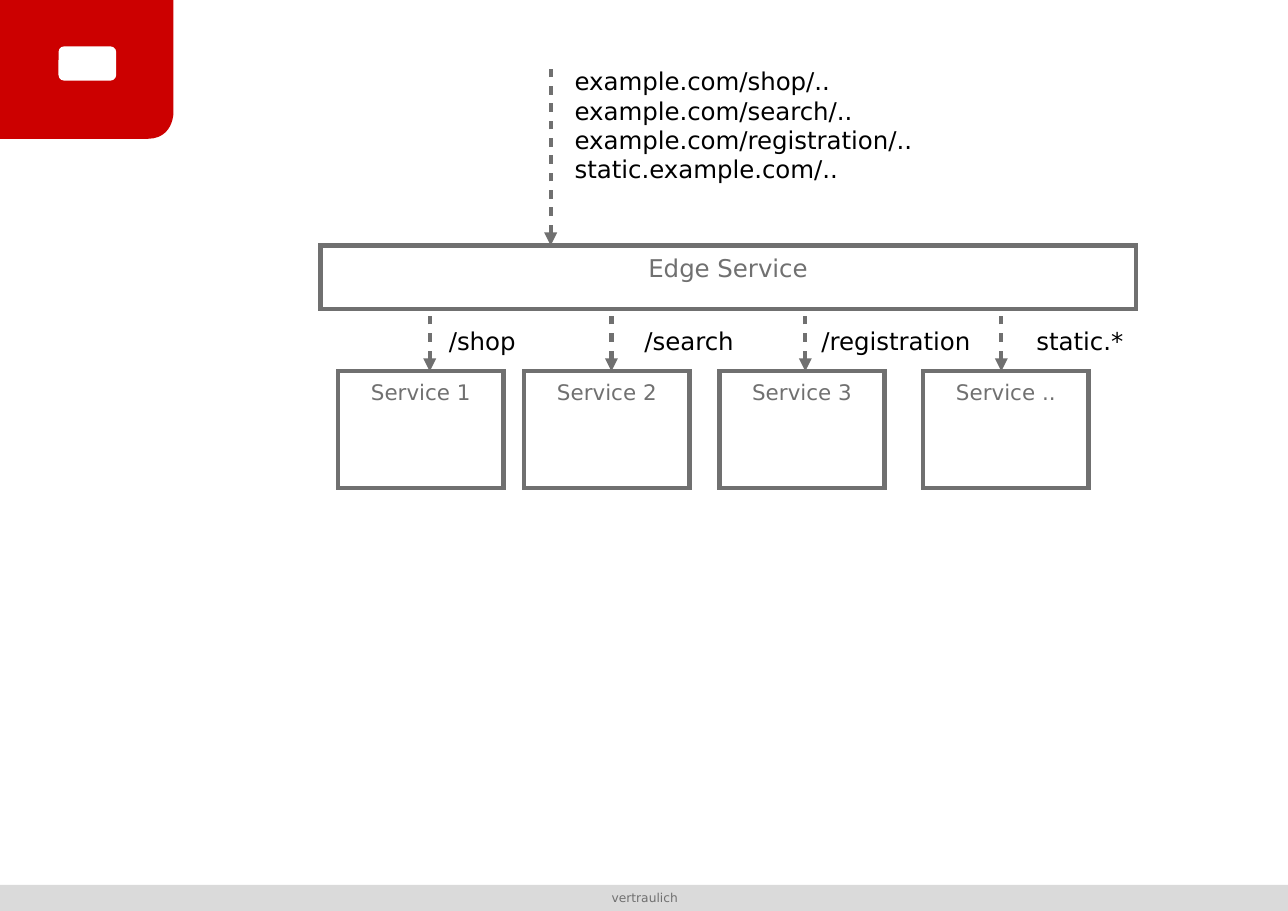
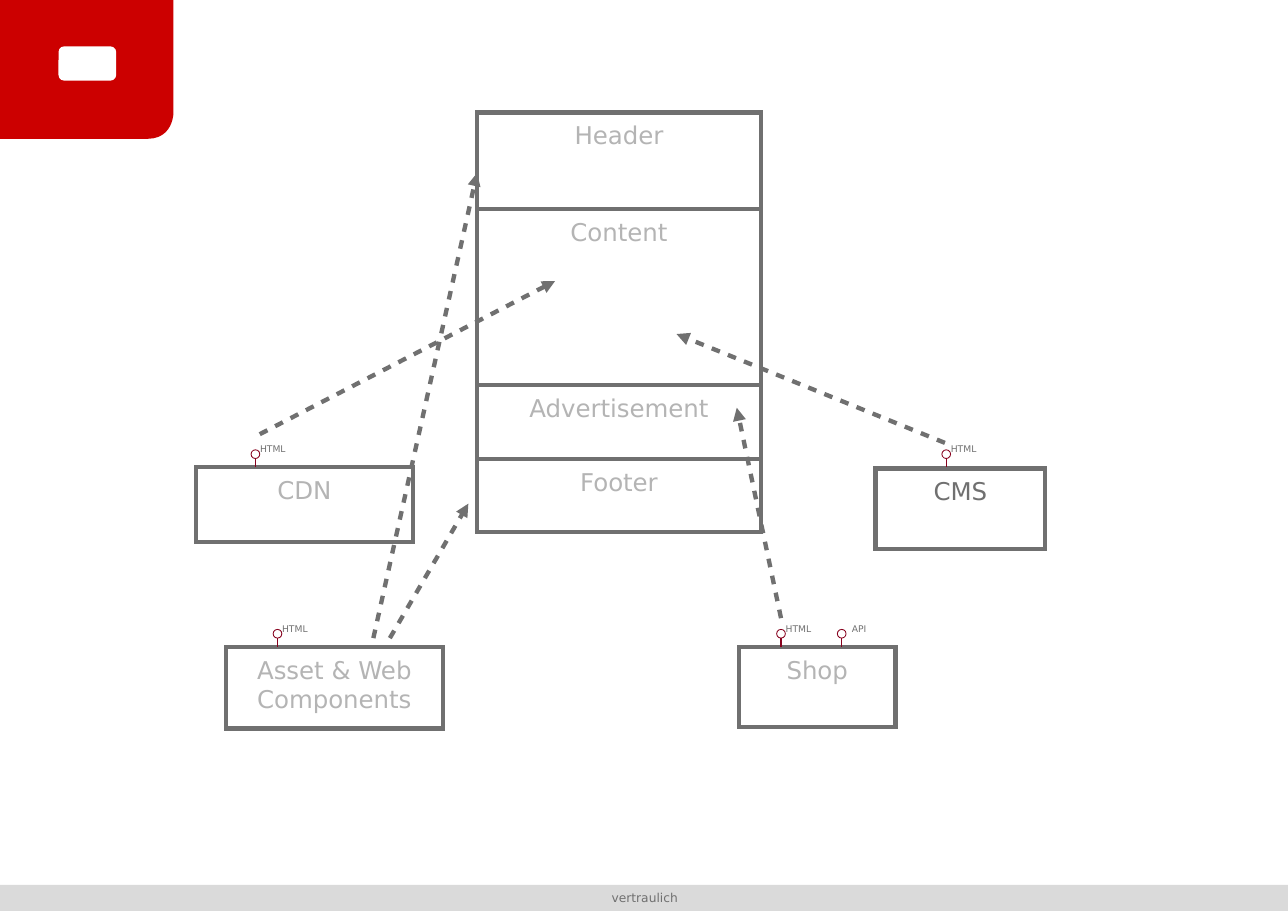
"""Build two architecture slides on a 297 by 210 grid."""
from dataclasses import dataclass
from itertools import accumulate
from typing import Any, NamedTuple

from lxml.etree import SubElement
from pptx import Presentation
from pptx.dml.color import RGBColor
from pptx.enum.shapes import MSO_CONNECTOR as Connector, MSO_SHAPE as Preset
from pptx.enum.text import MSO_ANCHOR as Anchor, PP_ALIGN as Align
from pptx.oxml.ns import qn
from pptx.util import Inches, Pt

SLIDE_WIDTH, SLIDE_HEIGHT = Inches(11.69), Inches(8.27)
COLUMNS, ROWS = 297, 210


@dataclass(frozen=True)
class Theme:
    """Colours, type sizes and line widths of the deck."""
    font: str = "DejaVu Sans"
    gray: str = "707070"
    pale: str = "B4B4B4"
    band: str = "DADADA"
    red: str = "CC0000"
    wine: str = "87021E"
    black: str = "000000"
    white: str = "FFFFFF"
    large: int = 16
    medium: int = 14
    footer: int = 8
    tiny: int = 6
    outline: float = 2.83
    stem: float = 0.85
    ring: float = 0.57


THEME = Theme()


class Area(NamedTuple):
    """Left, top, width and height in grid units."""
    left: float
    top: float
    width: float
    height: float


class Point(NamedTuple):
    """A position in grid units."""
    x: float
    y: float


@dataclass(frozen=True)
class Box:
    """An outlined rectangle with a caption at its top."""
    area: Area
    text: str
    color: str = THEME.pale
    size: int = THEME.large


@dataclass(frozen=True)
class Label:
    """A free-standing text."""
    area: Area
    text: str
    color: str = THEME.black
    size: int = THEME.large
    align: Align = Align.CENTER
    inset: Point = Point(2.5, 1.3)


@dataclass(frozen=True)
class Arrow:
    """A dashed line with a triangle at one end."""
    start: Point
    end: Point
    marker: str = "tailEnd"


@dataclass(frozen=True)
class Pin:
    """A ringed interface pin standing on a box."""
    foot: Point
    text: str = "HTML"


class Service(NamedTuple):
    """A service box with its arrow and route."""
    name: str
    left: float
    arrow_x: float
    route: str
    route_center: float


EDGE = Area(73.9, 56.6, 188, 14.7)
EDGE_BOTTOM = EDGE.top + EDGE.height
SERVICE_TOP, SERVICE_WIDTH, SERVICE_HEIGHT = 85.6, 38.1, 26.9
ROUTE_TOP, ROUTE_WIDTH, ROUTE_HEIGHT = 73.9, 44, 10
SERVICES = (
    Service("Service 1", 78, 99.1, "/shop", 111.2),
    Service("Service 2", 120.9, 141, "/search", 158.9),
    Service("Service 3", 165.9, 185.7, "/registration", 206.6),
    Service("Service ..", 212.9, 230.9, "static.*", 249),
)
ADDRESSES = "\n".join((
    "example.com/shop/..",
    "example.com/search/..",
    "example.com/registration/..",
    "static.example.com/..",
))

PAGE_LEFT, PAGE_TOP, PAGE_WIDTH = 110, 25.9, 65.5
PAGE_PARTS = {"Header": 22.3, "Content": 40.6, "Advertisement": 17, "Footer": 16.8}
UPPER_ROW, LOWER_ROW = 107.7, 149.1
SYSTEMS = (
    Box(Area(45.2, UPPER_ROW, 50, 17.3), "CDN"),
    Box(Area(201.9, 108, 39.1, 18.5), "CMS", THEME.gray),
    Box(Area(170.4, LOWER_ROW, 36.1, 18.5), "Shop"),
    Box(Area(52.1, LOWER_ROW, 50, 18.8), "Asset & Web\nComponents"),
)
PINS = (
    Pin(Point(218.2, UPPER_ROW)),
    Pin(Point(58.9, UPPER_ROW)),
    Pin(Point(64, LOWER_ROW)),
    Pin(Point(180.1, LOWER_ROW)),
    Pin(Point(194.1, LOWER_ROW), "API"),
)
DELIVERIES = (
    Arrow(Point(86.1, 147.1), Point(110, 39.9)),
    Arrow(Point(89.9, 147.1), Point(108, 116.1)),
    Arrow(Point(180.1, 142.5), Point(169.9, 94)),
    Arrow(Point(217.9, 102.1), Point(156, 77)),
    Arrow(Point(59.9, 100.1), Point(128, 64.8)),
)


def across(units: float) -> int:
    """Convert grid columns to a length."""
    return round(SLIDE_WIDTH * units / COLUMNS)


def down(units: float) -> int:
    """Convert grid rows to a length."""
    return round(SLIDE_HEIGHT * units / ROWS)


def place(area: Area) -> tuple[int, int, int, int]:
    """Convert a grid area to slide lengths."""
    return across(area.left), down(area.top), across(area.width), down(area.height)


def apply(target: Any, values: dict[str, Any]) -> None:
    """Set every attribute named in values."""
    for name, value in values.items():
        setattr(target, name, value)


def paint(shape: Any, fill: str | None = None, line: str | None = None, width: float = 0) -> None:
    """Give a shape its fill and mitred outline without shadow."""
    shape.shadow.inherit = False
    if fill:
        shape.fill.solid()
        shape.fill.fore_color.rgb = RGBColor.from_string(fill)
    else:
        shape.fill.background()
    if line:
        shape.line.color.rgb = RGBColor.from_string(line)
        shape.line.width = Pt(width)
        outline = shape._element.spPr.find(qn("a:ln"))
        SubElement(outline, qn("a:miter"), lim="800000")
    else:
        shape.line.fill.background()


def write(shape: Any, text: str, color: str, size: int, align: Align, inset: Point) -> None:
    """Fill a shape with top-anchored paragraphs."""
    frame = shape.text_frame
    apply(frame, {
        "text": text, "word_wrap": True, "vertical_anchor": Anchor.TOP,
        "margin_left": across(inset.x), "margin_right": across(inset.x),
        "margin_top": down(inset.y), "margin_bottom": down(inset.y),
    })
    for paragraph in frame.paragraphs:
        paragraph.alignment = align
        apply(paragraph.font, {"name": THEME.font, "size": Pt(size)})
        paragraph.font.color.rgb = RGBColor.from_string(color)


def draw_shape(shapes: Any, preset: Preset, area: Area, **style: Any) -> Any:
    """Add a painted preset shape."""
    shape = shapes.add_shape(preset, *place(area))
    paint(shape, **style)
    return shape


def draw_box(shapes: Any, box: Box) -> None:
    """Add an outlined box with its caption."""
    shape = draw_shape(shapes, Preset.RECTANGLE, box.area, line=THEME.gray, width=THEME.outline)
    write(shape, box.text, box.color, box.size, Align.CENTER, Point(3, 1.8))


def draw_label(shapes: Any, label: Label) -> None:
    """Add a text box."""
    shape = shapes.add_textbox(*place(label.area))
    write(shape, label.text, label.color, label.size, label.align, label.inset)


def draw_line(shapes: Any, start: Point, end: Point, color: str, width: float) -> Any:
    """Add a straight connector without shadow and return its outline."""
    connector = shapes.add_connector(
        Connector.STRAIGHT, across(start.x), down(start.y), across(end.x), down(end.y))
    connector.line.color.rgb = RGBColor.from_string(color)
    connector.line.width = Pt(width)
    properties = connector._element.spPr
    SubElement(properties, qn("a:effectLst"))
    return properties.find(qn("a:ln"))


def draw_arrow(shapes: Any, arrow: Arrow) -> None:
    """Add a dashed arrow."""
    outline = draw_line(shapes, arrow.start, arrow.end, THEME.gray, THEME.outline)
    dashes = SubElement(outline, qn("a:custDash"))
    SubElement(dashes, qn("a:ds"), d="200000", sp="200000")
    SubElement(outline, qn(f"a:{arrow.marker}"), type="triangle")


def draw_pin(shapes: Any, pin: Pin) -> None:
    """Add a grouped ring, stem and label."""
    parts = shapes.add_group_shape().shapes
    x, y = pin.foot
    draw_shape(parts, Preset.OVAL, Area(x - 1, y - 4, 2, 2), line=THEME.wine, width=THEME.ring)
    draw_line(parts, Point(x, y - 2), pin.foot, THEME.wine, THEME.stem)
    draw_label(parts, Label(Area(x - 2.2, y - 6.7, 12.4, 5.3), pin.text, THEME.gray, THEME.tiny))


def draw_corner(shapes: Any) -> None:
    """Add the red corner block with one rounded corner."""
    width, height, radius, steps = 40, 32, 6, 12
    curve = [
        (across(width - radius * t ** 3),
         down(height - radius + radius * (3 * (1 - t) * t ** 2 + t ** 3)))
        for t in (step / steps for step in range(steps + 1))
    ]
    builder = shapes.build_freeform(0, 0)
    builder.add_line_segments([(across(width), 0), *curve, (0, down(height))])
    paint(builder.convert_to_shape(), fill=THEME.red)


def furnish_layout(layout: Any, slide: Any) -> None:
    """Draw the shared parts once and move them to the layout."""
    for placeholder in list(layout.placeholders):
        layout.shapes._spTree.remove(placeholder._element)
    draw_shape(slide.shapes, Preset.RECTANGLE, Area(0, 204, COLUMNS, 6), fill=THEME.band)
    draw_corner(slide.shapes)
    draw_shape(slide.shapes, Preset.ROUNDED_RECTANGLE, Area(13.5, 10.7, 13.3, 7.9), fill=THEME.white)
    draw_label(slide.shapes, Label(Area(101.6, 205.2, 94.2, 4.8), "vertraulich",
                                   THEME.gray, THEME.footer, inset=Point(0, 0)))
    for shape in list(slide.shapes):
        layout.shapes._spTree.append(shape._element)


def draw_routing(shapes: Any) -> None:
    """Draw the edge service and the services behind it."""
    draw_box(shapes, Box(EDGE, "Edge Service", THEME.gray))
    draw_arrow(shapes, Arrow(Point(127, EDGE.top), Point(127, 16), "headEnd"))
    draw_label(shapes, Label(Area(130, 14, 88.9, 33.3), ADDRESSES, align=Align.LEFT))
    for service in SERVICES:
        area = Area(service.left, SERVICE_TOP, SERVICE_WIDTH, SERVICE_HEIGHT)
        draw_box(shapes, Box(area, service.name, THEME.gray, THEME.medium))
        draw_arrow(shapes, Arrow(Point(service.arrow_x, SERVICE_TOP),
                                 Point(service.arrow_x, EDGE_BOTTOM), "headEnd"))
        route_left = service.route_center - ROUTE_WIDTH / 2
        draw_label(shapes, Label(Area(route_left, ROUTE_TOP, ROUTE_WIDTH, ROUTE_HEIGHT), service.route))


def draw_composition(shapes: Any) -> None:
    """Draw the page and the systems that deliver its parts."""
    for system in SYSTEMS:
        draw_box(shapes, system)
    for pin in PINS:
        draw_pin(shapes, pin)
    for arrow in DELIVERIES:
        draw_arrow(shapes, arrow)
    tops = accumulate(PAGE_PARTS.values(), initial=PAGE_TOP)
    for (name, height), top in zip(PAGE_PARTS.items(), tops):
        draw_box(shapes, Box(Area(PAGE_LEFT, top, PAGE_WIDTH, height), name))
    page = Area(PAGE_LEFT, PAGE_TOP, PAGE_WIDTH, sum(PAGE_PARTS.values()))
    draw_shape(shapes, Preset.RECTANGLE, page, line=THEME.gray, width=THEME.outline)


def main() -> None:
    """Build and save the presentation."""
    presentation = Presentation()
    apply(presentation, {"slide_width": SLIDE_WIDTH, "slide_height": SLIDE_HEIGHT})
    layout = presentation.slide_layouts.get_by_name("Blank")
    routing, composition = (presentation.slides.add_slide(layout) for _ in range(2))
    furnish_layout(layout, routing)
    draw_routing(routing.shapes)
    draw_composition(composition.shapes)
    presentation.save("out.pptx")


if __name__ == "__main__":
    main()
